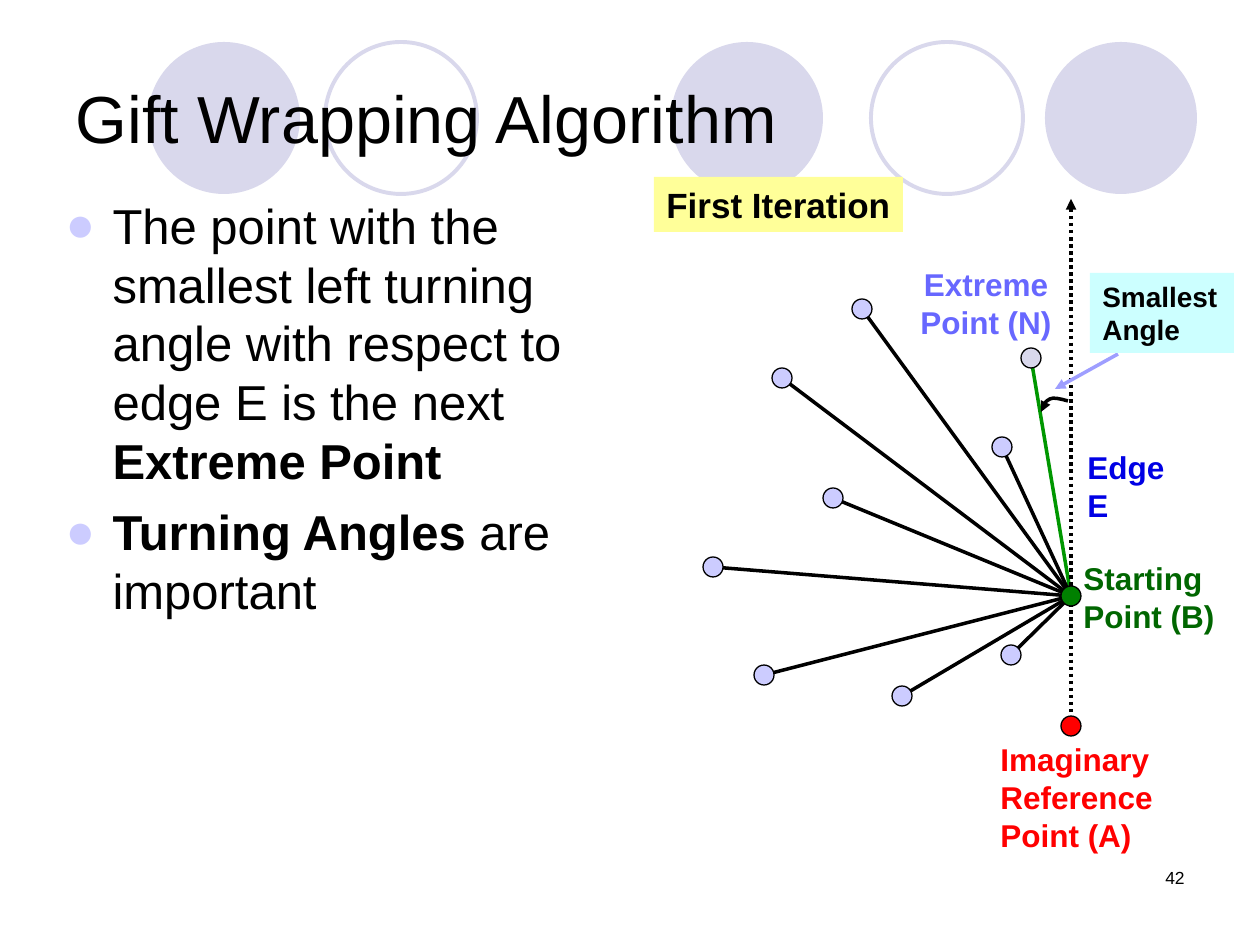
from dataclasses import dataclass

from lxml import etree
from pptx import Presentation
from pptx.dml.color import RGBColor
from pptx.enum.dml import MSO_LINE
from pptx.enum.shapes import MSO_CONNECTOR, MSO_SHAPE
from pptx.enum.text import MSO_ANCHOR, MSO_AUTO_SIZE, PP_ALIGN
from pptx.oxml.ns import qn
from pptx.util import Emu, Pt

PX = 914400 / 126
FONT = "Arial"
LEFT, CENTER, RIGHT = PP_ALIGN.LEFT, PP_ALIGN.CENTER, PP_ALIGN.RIGHT
OVAL, RECTANGLE = MSO_SHAPE.OVAL, MSO_SHAPE.RECTANGLE
STRAIGHT = MSO_CONNECTOR.STRAIGHT
DOTTED = MSO_LINE.ROUND_DOT
MIDDLE = MSO_ANCHOR.MIDDLE
NO_FIT = MSO_AUTO_SIZE.NONE

COLORS = {
    "black": "000000", "lavender": "D9D8EC", "node": "CCCCFF",
    "hull": "009700", "start": "008000", "start_text": "006600",
    "reference": "FF0000", "extreme_text": "6767FF", "edge_text": "0000E5",
    "pointer": "9E9EFF", "angle_fill": "CCFFFF", "iteration_fill": "FFFF99",
}

Point = tuple[int, int]


@dataclass
class Circle:
    left: int
    top: int
    filled: bool


@dataclass
class Node:
    center: Point
    fill: str = "node"
    edge: str = "black"


@dataclass
class Label:
    lines: list[str]
    box: tuple[int, int, int, int]
    size: int
    color: str
    fill: str | None = None
    wrap: bool = False
    align: PP_ALIGN = LEFT
    bold: bool = True


CIRCLES = [
    Circle(671, 42, True), Circle(1045, 42, True), Circle(148, 42, True),
    Circle(871, 42, False), Circle(325, 42, False),
]
CIRCLE_SIZE = 152
NODE_SIZE = 20

START = Node((1071, 596), "start")
REFERENCE = Node((1071, 726), "reference")
CANDIDATES = [
    Node((1031, 358), "lavender", "hull"), Node((1002, 447)),
    Node((862, 309)), Node((782, 378)), Node((833, 498)), Node((713, 567)),
    Node((764, 675)), Node((902, 696)), Node((1011, 655)),
]
EDGE_TOP = (1071, 199)
# Start point, then two control points and an end point for each curve.
TURN_ARC = [(1068, 401), (1061, 399), (1053, 397), (1050, 399),
            (1045, 402), (1041, 408), (1041, 412)]

GRAPH_LABELS = [
    Label(["Starting", "Point (B)"], (1071, 553, 156, 88), 18, "start_text"),
    Label(["Extreme", "Point (N)"], (908, 259, 156, 88), 18, "extreme_text",
          align=CENTER),
]
CALLOUTS = [
    Label(["Smallest Angle"], (1090, 273, 144, 80), 16, "black",
          "angle_fill", wrap=True),
    Label(["Imaginary Reference Point (A)"], (988, 734, 206, 126), 18,
          "reference", wrap=True),
    Label(["First Iteration"], (654, 177, 249, 55), 20, "black",
          "iteration_fill"),
    Label(["Edge E"], (1075, 442, 131, 50), 18, "edge_text"),
    Label(["42"], (903, 861, 294, 63), 10, "black", wrap=True, align=RIGHT,
          bold=False),
]
BODY = [
    [("The point with the smallest left turning angle with respect to "
      "edge E is the next", False), (" Extreme Point", True)],
    [("Turning Angles", True), (" are important", False)],
]


def px(value: float) -> Emu:
    return Emu(round(value * PX))


def rgb(name: str) -> RGBColor:
    return RGBColor.from_string(COLORS[name])


def place(shape, left: int, top: int, width: int, height: int) -> None:
    shape.left, shape.top = px(left), px(top)
    shape.width, shape.height = px(width), px(height)


def set_font(font, size: int, color: str) -> None:
    font.name, font.size = FONT, Pt(size)
    font.color.rgb = rgb(color)


def style_line(line, color: str, width: float) -> None:
    line.color.rgb = rgb(color)
    line.width = Pt(width)


def add_arrowhead(line, end: str) -> None:
    """Put a triangle on the headEnd or tailEnd of a line."""
    etree.SubElement(line._get_or_add_ln(), qn(f"a:{end}"), type="triangle")


def add_circle(slide, circle: Circle) -> None:
    """Draw a decorative circle behind the placeholders."""
    shape = slide.shapes.add_shape(OVAL, px(circle.left), px(circle.top),
                                   px(CIRCLE_SIZE), px(CIRCLE_SIZE))
    shape.shadow.inherit = False
    if circle.filled:
        shape.fill.solid()
        shape.fill.fore_color.rgb = rgb("lavender")
        shape.line.fill.background()
    else:
        shape.fill.background()
        style_line(shape.line, "lavender", 2.25)
    slide.shapes._spTree.insert(2, shape._element)


def add_line(slide, start: Point, end: Point, color: str = "black"):
    line = slide.shapes.add_connector(STRAIGHT, *map(px, start + end))
    style_line(line.line, color, 2)
    etree.SubElement(line._element.spPr, qn("a:effectLst"))
    return line.line


def add_node(slide, node: Node) -> None:
    x, y = node.center
    half = NODE_SIZE // 2
    dot = slide.shapes.add_shape(OVAL, px(x - half), px(y - half),
                                 px(NODE_SIZE), px(NODE_SIZE))
    dot.shadow.inherit = False
    dot.fill.solid()
    dot.fill.fore_color.rgb = rgb(node.fill)
    style_line(dot.line, "black", 0.75)


def add_label(slide, label: Label) -> None:
    box = [px(value) for value in label.box]
    if label.fill:
        shape = slide.shapes.add_shape(RECTANGLE, *box)
        shape.shadow.inherit = False
        shape.fill.solid()
        shape.fill.fore_color.rgb = rgb(label.fill)
        shape.line.fill.background()
    else:
        shape = slide.shapes.add_textbox(*box)
    frame = shape.text_frame
    frame.word_wrap = label.wrap
    frame.vertical_anchor = MSO_ANCHOR.TOP
    frame.text = "\n".join(label.lines)
    for paragraph in frame.paragraphs:
        paragraph.alignment = label.align
        set_font(paragraph.font, label.size, label.color)
        paragraph.font.bold = label.bold


def add_curve(slide, points: list[Point]) -> None:
    """Draw an arrow along cubic curves."""
    builder = slide.shapes.build_freeform(*points[0], scale=PX)
    builder.add_line_segments(points[1:], close=False)
    curve = builder.convert_to_shape()
    outline = curve._element.find(".//" + qn("a:path"))
    segments = outline.findall(qn("a:lnTo"))
    for first in range(0, len(segments), 3):
        cubic = etree.SubElement(outline, qn("a:cubicBezTo"))
        for segment in segments[first:first + 3]:
            cubic.append(segment[0])
            outline.remove(segment)
    curve.shadow.inherit = False
    curve.fill.background()
    style_line(curve.line, "black", 2)
    add_arrowhead(curve.line, "tailEnd")


def add_bullet(paragraph) -> None:
    properties = paragraph._p.get_or_add_pPr()
    properties.set("marL", str(px(47)))
    properties.set("indent", str(px(-47)))
    color = etree.SubElement(properties, qn("a:buClr"))
    etree.SubElement(color, qn("a:srgbClr"), val=COLORS["node"])
    etree.SubElement(properties, qn("a:buFont"), typeface=FONT)
    etree.SubElement(properties, qn("a:buChar"), char="●")


def fill_placeholders(slide) -> None:
    title, body = slide.shapes.title, slide.placeholders[1]
    place(title, 63, 38, 1134, 158)
    title.text_frame.text = "Gift Wrapping Algorithm"
    title.text_frame.vertical_anchor = MIDDLE
    heading = title.text_frame.paragraphs[0]
    heading.alignment = LEFT
    set_font(heading.font, 38, "black")

    place(body, 53, 189, 591, 725)
    frame = body.text_frame
    title.text_frame.auto_size = frame.auto_size = NO_FIT
    for index, parts in enumerate(BODY):
        paragraph = frame.add_paragraph() if index else frame.paragraphs[0]
        paragraph.space_before = Pt(7 if index else 0)
        add_bullet(paragraph)
        set_font(paragraph.font, 28, "black")
        for text, bold in parts:
            run = paragraph.add_run()
            run.text, run.font.bold = text, bold


def main() -> None:
    deck = Presentation()
    deck.slide_width, deck.slide_height = px(1260), px(945)
    slide = deck.slides.add_slide(deck.slide_layouts[1])
    fill_placeholders(slide)
    for circle in CIRCLES:
        add_circle(slide, circle)

    for node in CANDIDATES:
        add_line(slide, START.center, node.center, node.edge)
    reference_edge = add_line(slide, EDGE_TOP, REFERENCE.center)
    reference_edge.dash_style = DOTTED
    add_arrowhead(reference_edge, "headEnd")
    for node in [START, *CANDIDATES, REFERENCE]:
        add_node(slide, node)
    for label in GRAPH_LABELS:
        add_label(slide, label)
    add_curve(slide, TURN_ARC)
    add_line_to_angle = add_line(slide, (1118, 354), (1055, 389), "pointer")
    add_arrowhead(add_line_to_angle, "tailEnd")
    for label in CALLOUTS:
        add_label(slide, label)
    deck.save("out.pptx")


if __name__ == "__main__":
    main()
